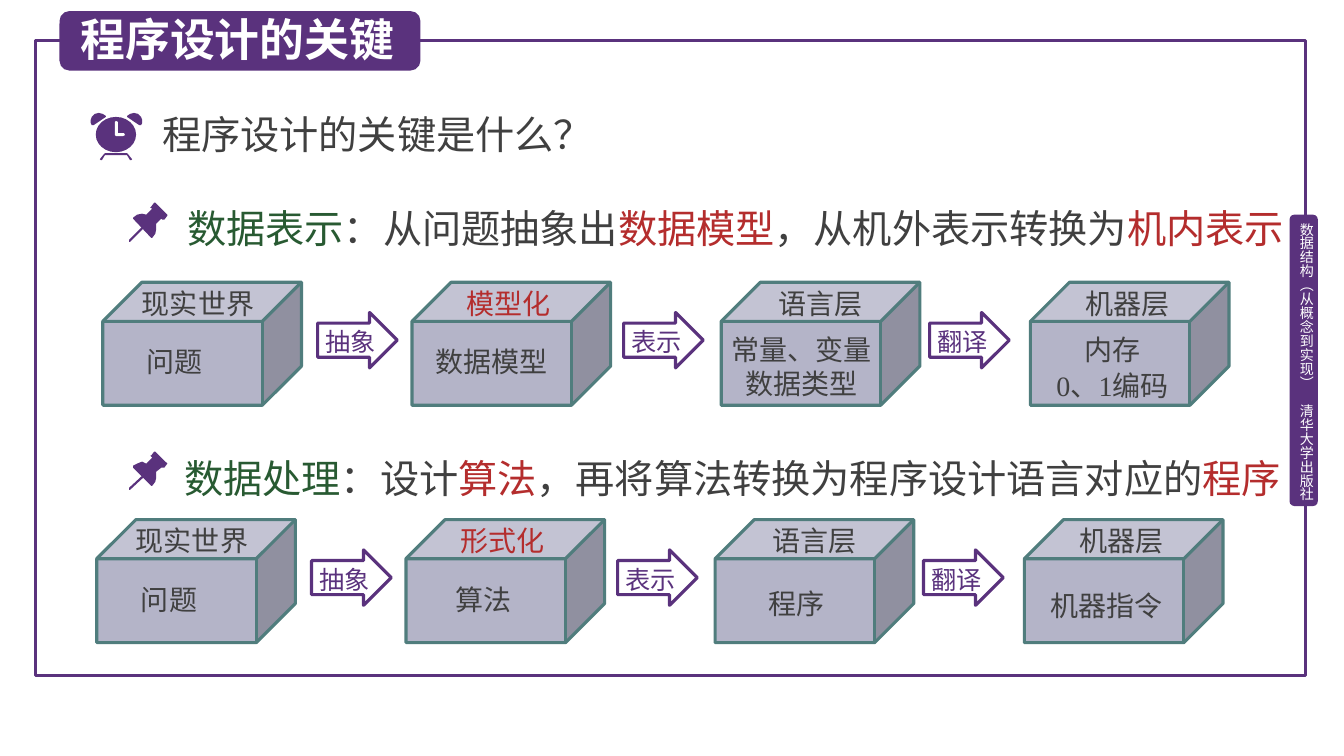
from dataclasses import dataclass

from lxml.etree import SubElement
from pptx import Presentation
from pptx.dml.color import RGBColor
from pptx.enum.shapes import MSO_SHAPE as Shape
from pptx.enum.text import MSO_ANCHOR as Anchor, PP_ALIGN as Align
from pptx.oxml.ns import qn
from pptx.util import Inches, Pt

CELL = Inches(7.5) // 750
COLUMNS, ROWS = 1333, 750


@dataclass(frozen=True)
class Theme:
    """Colours, fonts and type sizes of the slide."""
    purple: str = "5A327D"
    white: str = "FFFFFF"
    ink: str = "404040"
    green: str = "285A32"
    red: str = "B42D2D"
    cube: str = "B4B4C8"
    edge: str = "507D7D"
    sans: str = "Noto Sans CJK SC"
    serif: str = "Times New Roman"
    title: int = 32
    heading: int = 28
    label: int = 20
    arrow: int = 18
    side: int = 10
    outline: float = 2.25


THEME = Theme()

CUBE_FIRST, CUBE_PITCH, CUBE_SIZE = 102, 306.67, (197, 122)
ARROW_FIRST, ARROW_PITCH, ARROW_SIZE = 315, 303.5, (79, 55)
ARROWS = ["抽象", "表示", "翻译"]
CAP_SPANS = [(29, 166), (44, 123), (47, 115), (45, 118)]

PIN_HEAD = [(166, 213), (154, 201), (153, 201), (150, 205), (149, 206), (151, 207),
            (145, 213), (141, 212), (136, 213), (132, 216), (132, 217), (150, 236),
            (151, 236), (154, 232), (155, 227), (155, 222), (160, 217), (161, 218),
            (163, 218), (166, 214)]
PIN_NEEDLE = [(129, 240), (128, 240), (128, 238), (141, 225), (142, 225), (142, 227)]
CLOCK_EAR = [(98, 112), (94, 113), (91, 116), (90, 119), (90, 122), (91, 124),
             (93, 124), (105, 116), (105, 115), (102, 113)]
CLOCK_FEET = [(131, 158), (127, 153), (126, 152), (104, 152), (103, 153), (99, 158),
              (100, 159), (101, 159), (104, 154), (126, 154), (129, 159), (130, 159)]
CLOCK_HANDS = [(115, 120), (117, 121), (117, 132), (123, 132), (124, 134), (122, 135),
               (115, 135), (114, 134), (114, 121)]


def grid(*cells):
    """Turn grid columns and rows into slide lengths."""
    return [round(cell * CELL) for cell in cells]


def color(code):
    """Return the colour for a hex code."""
    return RGBColor.from_string(code)


def add_span(para, text, size, tint, font=THEME.sans, bold=False):
    """Add one styled run to a paragraph."""
    span = para.add_run()
    span.text = text
    span.font.size, span.font.name, span.font.bold = Pt(size), font, bold
    span.font.color.rgb = color(tint)
    SubElement(span.font._element, qn("a:ea"), typeface=THEME.sans)


def add_text(page, cells, lines, size, align=Align.LEFT, spacing=None,
             font=THEME.sans, bold=False):
    """Add a text box whose lines are lists of text and colour pairs."""
    box = page.shapes.add_textbox(*grid(*cells))
    frame = box.text_frame
    frame.word_wrap = True
    for index, line in enumerate(lines):
        para = frame.paragraphs[0] if index == 0 else frame.add_paragraph()
        para.alignment, para.line_spacing = align, spacing
        for text, tint in line:
            add_span(para, text, size, tint, font, bold)
    return box


def paint(shape, fill=None, line=None):
    """Set the fill and outline of a shape and drop its shadow."""
    shape.shadow.inherit = False
    if fill:
        shape.fill.solid()
        shape.fill.fore_color.rgb = color(fill)
    else:
        shape.fill.background()
    if line:
        shape.line.color.rgb = color(line)
        shape.line.width = Pt(THEME.outline)
    else:
        shape.line.fill.background()


def add_preset(page, kind, cells, fill=None, line=None, adjust=()):
    """Add a painted preset shape."""
    shape = page.shapes.add_shape(kind, *grid(*cells))
    paint(shape, fill, line)
    for index, value in enumerate(adjust):
        shape.adjustments[index] = value
    return shape


def add_outline(page, points, fill=THEME.purple, down=0):
    """Add a filled closed outline, shifted down by some rows."""
    moved = [(x, y + down) for x, y in points]
    builder = page.shapes.build_freeform(*moved[0], scale=CELL)
    builder.add_line_segments(moved[1:], close=True)
    paint(builder.convert_to_shape(), fill)


def add_clock(page):
    """Draw the alarm clock beside the question."""
    add_outline(page, CLOCK_FEET)
    add_outline(page, CLOCK_EAR)
    add_outline(page, [(231 - x, y) for x, y in CLOCK_EAR])
    add_preset(page, Shape.OVAL, (95, 116, 40, 35), THEME.purple)
    add_outline(page, CLOCK_HANDS, THEME.white)


def add_point(page, left, top, pin_down, spans):
    """Add a pinned heading."""
    add_text(page, (left, top, 1142, 62), [spans], THEME.heading, spacing=1.2)
    for points in (PIN_HEAD, PIN_NEEDLE):
        add_outline(page, points, down=pin_down)


def add_arrow(page, left, top, text):
    """Add a labelled block arrow."""
    arrow = add_preset(page, Shape.RIGHT_ARROW, (left, top, *ARROW_SIZE),
                       line=THEME.purple, adjust=(0.616, 0.5))
    frame = arrow.text_frame
    frame.margin_left, = grid(4)
    frame.margin_top = frame.margin_right = frame.margin_bottom = 0
    frame.vertical_anchor = Anchor.MIDDLE
    para = frame.paragraphs[0]
    para.alignment, para.line_spacing = Align.CENTER, Pt(24)
    add_span(para, text, THEME.arrow, THEME.purple)


def add_flow(page, left, top, stages):
    """Add a row of cubes joined by arrows."""
    for index, (cap, tint, lines, (shift, drop, *size)) in enumerate(stages):
        x = left + index * CUBE_PITCH
        add_preset(page, Shape.CUBE, (x, top, *CUBE_SIZE), THEME.cube, THEME.edge, (0.318,))
        inset, width = CAP_SPANS[index]
        add_text(page, (x + inset, top - 1, width, 44), [[(cap, tint)]], THEME.label)
        last = index == len(stages) - 1
        add_text(page, (x + shift, top + drop, *size), [[(line, THEME.ink)] for line in lines],
                 THEME.label, Align.CENTER if index > 1 else Align.LEFT,
                 Pt(26) if last else None, THEME.serif if last else THEME.sans)
    for index, text in enumerate(ARROWS):
        x = left - CUBE_FIRST + ARROW_FIRST + index * ARROW_PITCH
        add_arrow(page, x, top + 30, text)


def add_frame(page):
    """Add the border, the side label and the title tab."""
    add_preset(page, Shape.RECTANGLE, (35, 40, 1260, 630), line=THEME.purple)
    add_preset(page, Shape.ROUNDED_RECTANGLE, (1279, 213, 28, 289), THEME.purple)
    side = add_text(page, (1287, 221, 17, 281),
                    [[("数据结构（从概念到实现）　清华大学出版社", THEME.white)]], THEME.side)
    frame = side.text_frame
    frame.margin_left = frame.margin_top = frame.margin_right = frame.margin_bottom = 0
    side.element.txBody.bodyPr.set("vert", "eaVert")
    add_preset(page, Shape.ROUNDED_RECTANGLE, (59, 11, 358, 59), THEME.purple)
    add_text(page, (70, 7, 364, 64), [[("程序设计的关键", THEME.white)]], THEME.title, bold=True)


def main():
    """Build the slide and save it."""
    deck = Presentation()
    deck.slide_width, deck.slide_height = grid(COLUMNS, ROWS)
    page = deck.slides.add_slide(deck.slide_layouts[6])
    ink, red, green = THEME.ink, THEME.red, THEME.green
    add_frame(page)
    add_text(page, (151, 105, 726, 57), [[("程序设计的关键是什么？", ink)]], THEME.heading)
    add_clock(page)
    add_point(page, 176, 188, 0, [
        ("数据表示", green), ("：从问题抽象出", ink), ("数据模型", red),
        ("，从机外表示转换为", ink), ("机内表示", red)])
    add_point(page, 173, 436, 246.5, [
        ("数据处理", green), ("：设计", ink), ("算法", red),
        ("，再将算法转换为程序设计语言对应的", ink), ("程序", red)])
    add_flow(page, CUBE_FIRST, 280, [
        ("现实世界", ink, ["问题"], (33, 57, 98, 44)),
        ("模型化", red, ["数据模型"], (13, 57, 137, 44)),
        ("语言层", ink, ["常量、变量", "数据类型"], (-2, 45, 164, 77)),
        ("机器层", ink, ["内存", "0、1编码"], (0, 42, 163, 81))])
    add_flow(page, CUBE_FIRST - 6, 515.5, [
        ("现实世界", ink, ["问题"], (34, 57, 98, 44)),
        ("形式化", red, ["算法"], (39, 57, 90, 44)),
        ("语言层", ink, ["程序"], (-1, 61, 164, 44)),
        ("机器层", ink, ["机器指令"], (0, 61, 163, 44))])
    deck.save("out.pptx")


if __name__ == "__main__":
    main()
